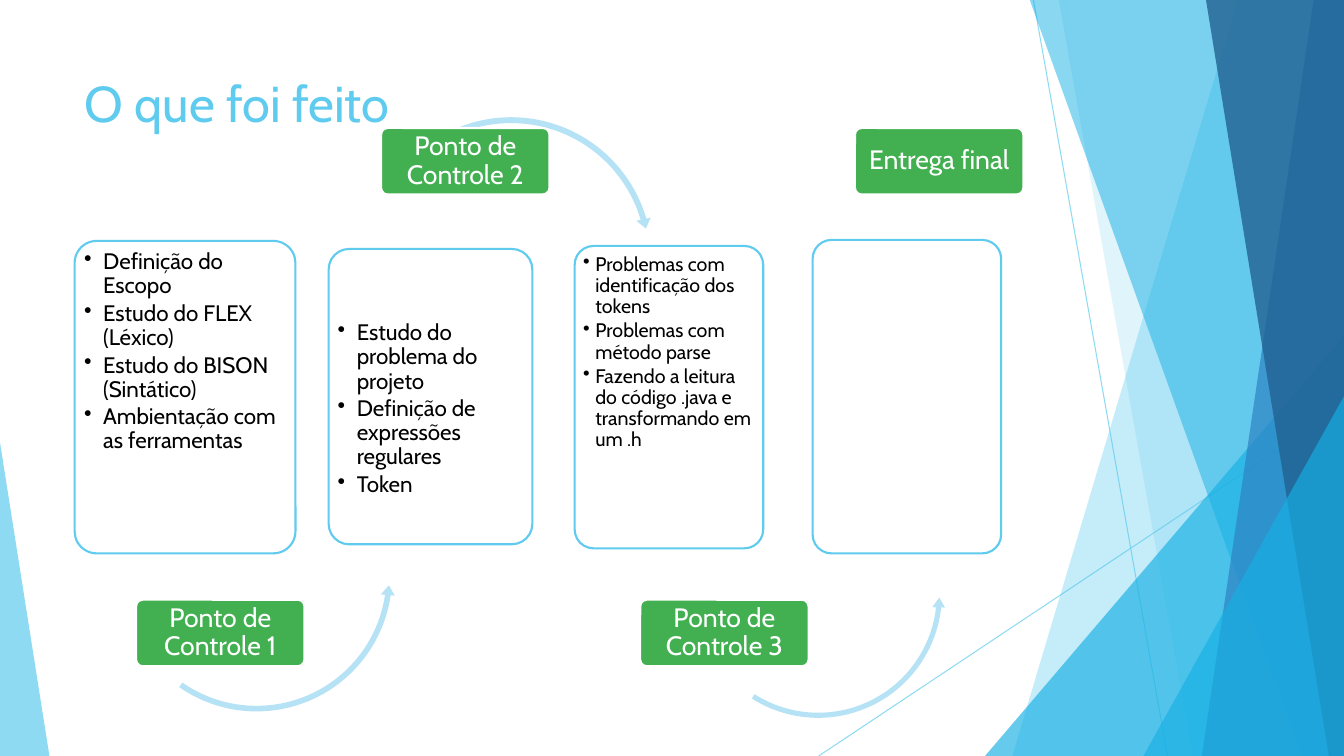
from lxml.etree import SubElement
from pptx import Presentation
from pptx.dml.color import RGBColor
from pptx.enum.shapes import MSO_CONNECTOR, MSO_SHAPE
from pptx.enum.text import MSO_ANCHOR, PP_ALIGN
from pptx.oxml.ns import qn
from pptx.util import Inches, Pt

SKY = RGBColor(0x5F, 0xCB, 0xEF)
CYAN = RGBColor(0x17, 0xB0, 0xE4)
BLUE = RGBColor(0x2E, 0x83, 0xC3)
NAVY = RGBColor(0x22, 0x62, 0x92)
PALE = RGBColor(0xB6, 0xE2, 0xF6)
GREEN = RGBColor(0x42, 0xB0, 0x51)
WHITE = RGBColor(0xFF, 0xFF, 0xFF)
BLACK = RGBColor(0, 0, 0)
FONT = "Cabin"
TOP, WIDE, HIGH = -0.01, 13.33, 7.5

deck = Presentation()
deck.slide_width, deck.slide_height = Inches(WIDE), Inches(HIGH)
slide = deck.slides.add_slide(deck.slide_layouts[6])
shapes = slide.shapes


def paint(shape, color, alpha=100, edge=None):
    """Set a flat fill with its opacity in percent, and an optional edge."""
    shape.shadow.inherit = False
    shape.fill.solid()
    shape.fill.fore_color.rgb = color
    if alpha < 100:
        tint = shape._element.spPr.find(".//" + qn("a:srgbClr"))
        SubElement(tint, qn("a:alpha"), val=str(alpha * 1000))
    if edge is None:
        shape.line.fill.background()
    else:
        shape.line.color.rgb = edge
        shape.line.width = Pt(1.5)


def write(frame, texts, size, color):
    frame.word_wrap = True
    frame.text = "\n".join(texts)
    for par in frame.paragraphs:
        par.alignment = PP_ALIGN.LEFT
        for run in par.runs:
            run.font.name = FONT
            run.font.size = Pt(size)
            run.font.color.rgb = color


# Background lines
for ends in [(10.25, 0, 11.58, HIGH), (WIDE, 4.03, 8.12, HIGH)]:
    line = shapes.add_connector(MSO_CONNECTOR.STRAIGHT, *map(Inches, ends))
    line.line.color.rgb = SKY
    line.line.width = Pt(0.75)
    props = line._element.spPr
    SubElement(props.find(".//" + qn("a:srgbClr")), qn("a:alpha"), val="70000")
    SubElement(props, qn("a:effectLst"))

# Background facets: bands run to the right edge, wedges have a tilted apex
facets = [
    ("band", (12.28, 10.04), SKY, 36),
    ("band", (10.5, 11.83), SKY, 20),
    ("wedge", (9.77, 3.33, 3.56, 1), CYAN, 66),
    ("band", (10.21, 12.91), CYAN, 50),
    ("band", (13.03, 11.92), BLUE, 70),
    ("band", (11.96, 13.18), NAVY, 80),
    ("wedge", (11.34, 3.93, 1.99, 1), CYAN, 66),
    ("wedge", (0, 4.39, 0.49, 0), SKY, 70),
]
for kind, spot, color, alpha in facets:
    if kind == "band":
        high, low = spot
        pen = shapes.build_freeform(Inches(high), Inches(TOP))
        rest = [(WIDE, TOP), (WIDE, HIGH), (low, HIGH)]
        pen.add_line_segments([(Inches(x), Inches(y)) for x, y in rest])
        facet = pen.convert_to_shape()
    else:
        left, top, width, apex = spot
        facet = shapes.add_shape(MSO_SHAPE.ISOSCELES_TRIANGLE, Inches(left), Inches(top),
                                 Inches(width), Inches(HIGH - top))
        facet.adjustments[0] = apex
    paint(facet, color, alpha)

title = shapes.add_textbox(Inches(0.74), Inches(0.67), Inches(9.4), Inches(1.44))
write(title.text_frame, ["O que foi feito"], 36, SKY)

# Stages: card box, top inset, text size, indent, bullets, arrow, label place, label
# Arrow: kind, left, top, side, turn, then head, end and start angles in degrees
LEFT, RIGHT = MSO_SHAPE.LEFT_CIRCULAR_ARROW, MSO_SHAPE.CIRCULAR_ARROW
SHAFT, TIP = 0.02, 0.025
stages = [
    ((0.74, 2.39, 2.19, 3.1), 0.03, 16, 0.19,
     ["Definição do Escopo", "Estudo do FLEX (Léxico)", "Estudo do BISON (Sintático)",
      "Ambientação com as ferramentas"],
     (LEFT, 1.16, 4.33, 2.77, 17.1, (4.22, 351.15, 107.75)),
     (1.35, 5.95), "Ponto de Controle 1"),
    ((3.26, 2.47, 2.02, 2.93), 0.66, 16, 0.19,
     ["Estudo do problema do projeto", "Definição de expressões regulares", "Token"],
     (RIGHT, 3.63, 1.12, 2.88, 336.8, (4.04, 6.85, 250.08)),
     (3.78, 1.27), "Ponto de Controle 2"),
    ((5.7, 2.44, 1.87, 3), 0.03, 14, 0.12,
     ["Problemas com identificação dos tokens", "Problemas com método parse",
      "Fazendo a leitura do código .java e transformando em um .h"],
     (LEFT, 6.85, 4.63, 2.53, 20, (4.63, 346.27, 102.46)),
     (6.35, 5.95), "Ponto de Controle 3"),
    ((8.06, 2.38, 1.87, 3.11), 0.03, 14, 0.12, [], None, (8.48, 1.27), "Entrega final"),
]
for box, inset, size, indent, points, arrow, place, name in stages:
    card = shapes.add_shape(MSO_SHAPE.ROUNDED_RECTANGLE, *map(Inches, box))
    card.adjustments[0] = 0.1
    paint(card, WHITE, 90, SKY)
    if points:
        frame = card.text_frame
        write(frame, points, size, BLACK)
        frame.vertical_anchor = MSO_ANCHOR.TOP
        frame.margin_left = frame.margin_right = frame.margin_bottom = Inches(0.03)
        frame.margin_top = Inches(inset)
        for par in frame.paragraphs:
            par.line_spacing = 0.9
            par.space_after = Pt(round(size * 0.15, 1))
            props = par._p.get_or_add_pPr()
            props.set("marL", str(Inches(indent)))
            props.set("indent", str(-Inches(indent)))
            SubElement(props, qn("a:buChar"), char="•")

    if arrow:
        kind, left, top, side, turn, angles = arrow
        swoop = shapes.add_shape(kind, Inches(left), Inches(top), Inches(side), Inches(side))
        swoop.rotation = turn
        # One degree is 60000 units, and adjustments count in 100000s
        turns = [angle * 0.6 for angle in angles]
        for i, value in enumerate([SHAFT, *turns, TIP]):
            swoop.adjustments[i] = value
        paint(swoop, PALE)

    label = shapes.add_shape(MSO_SHAPE.ROUNDED_RECTANGLE, *map(Inches, (*place, 1.67, 0.66)))
    label.adjustments[0] = 0.1
    paint(label, GREEN, edge=WHITE)
    frame = label.text_frame
    write(frame, [name], 19, WHITE)
    frame.vertical_anchor = MSO_ANCHOR.MIDDLE
    frame.margin_left = frame.margin_right = Inches(0.04)
    frame.margin_top = frame.margin_bottom = Inches(0.03)
    frame.paragraphs[0].alignment = PP_ALIGN.CENTER
    frame.paragraphs[0].line_spacing = 0.9

deck.save("out.pptx")
